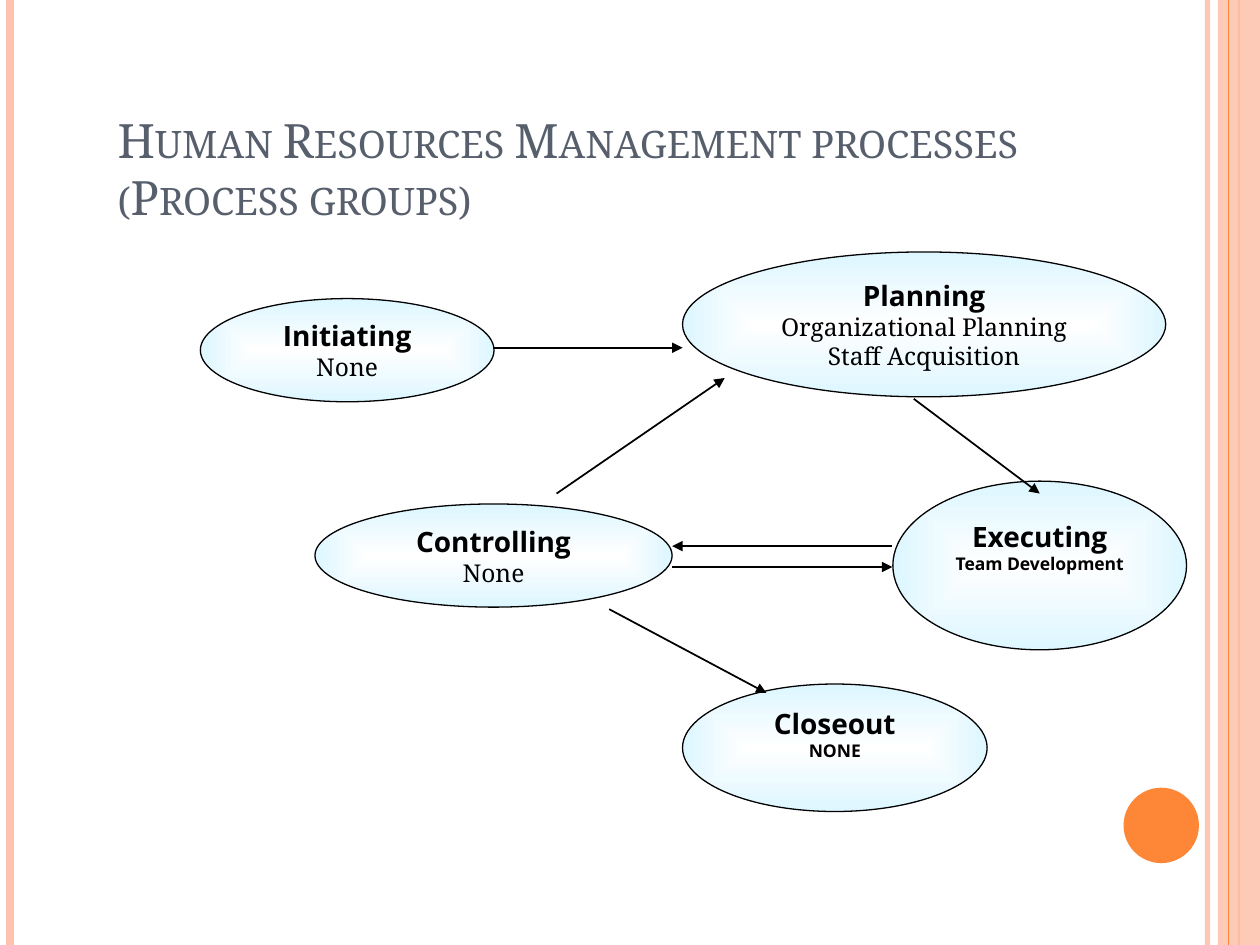
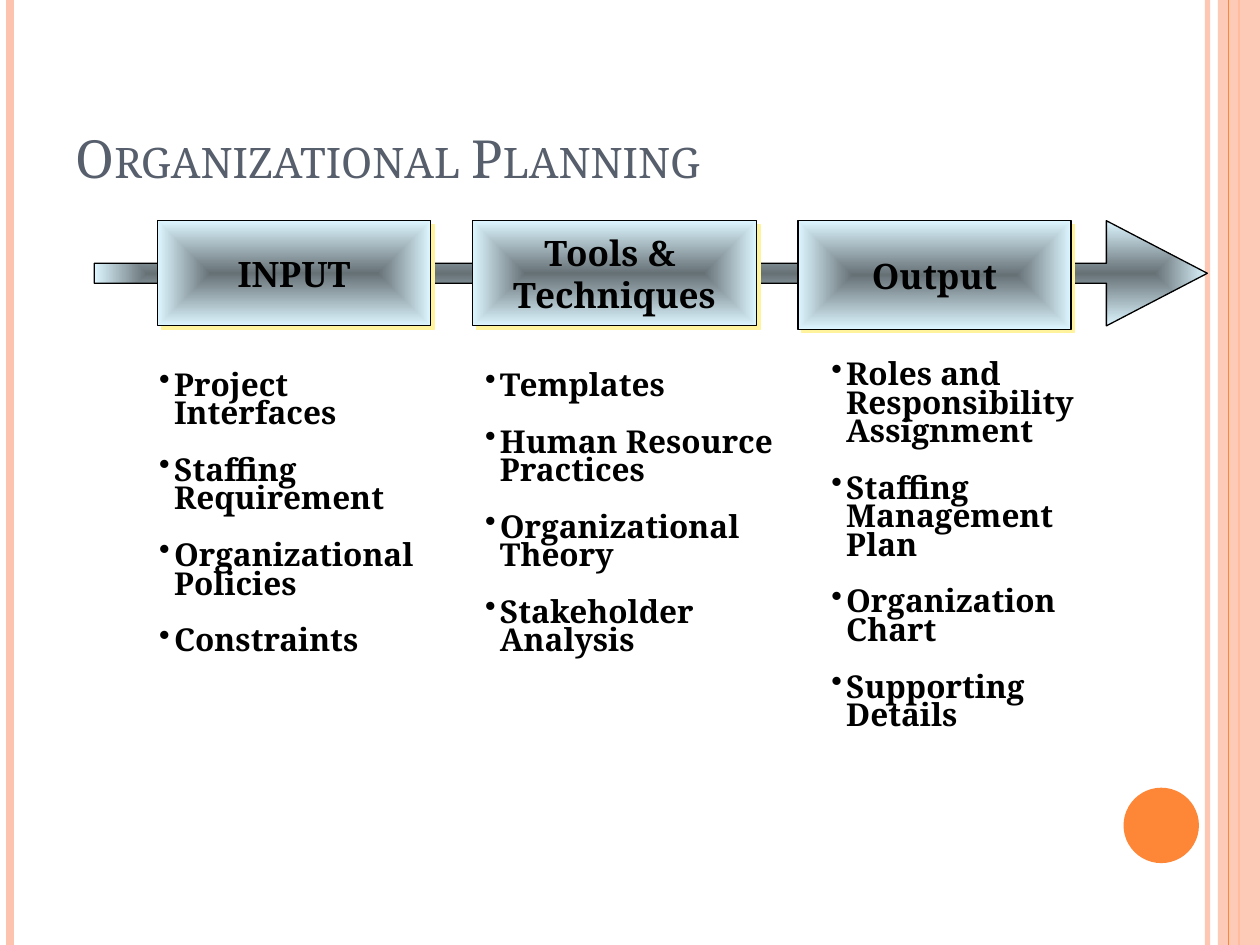
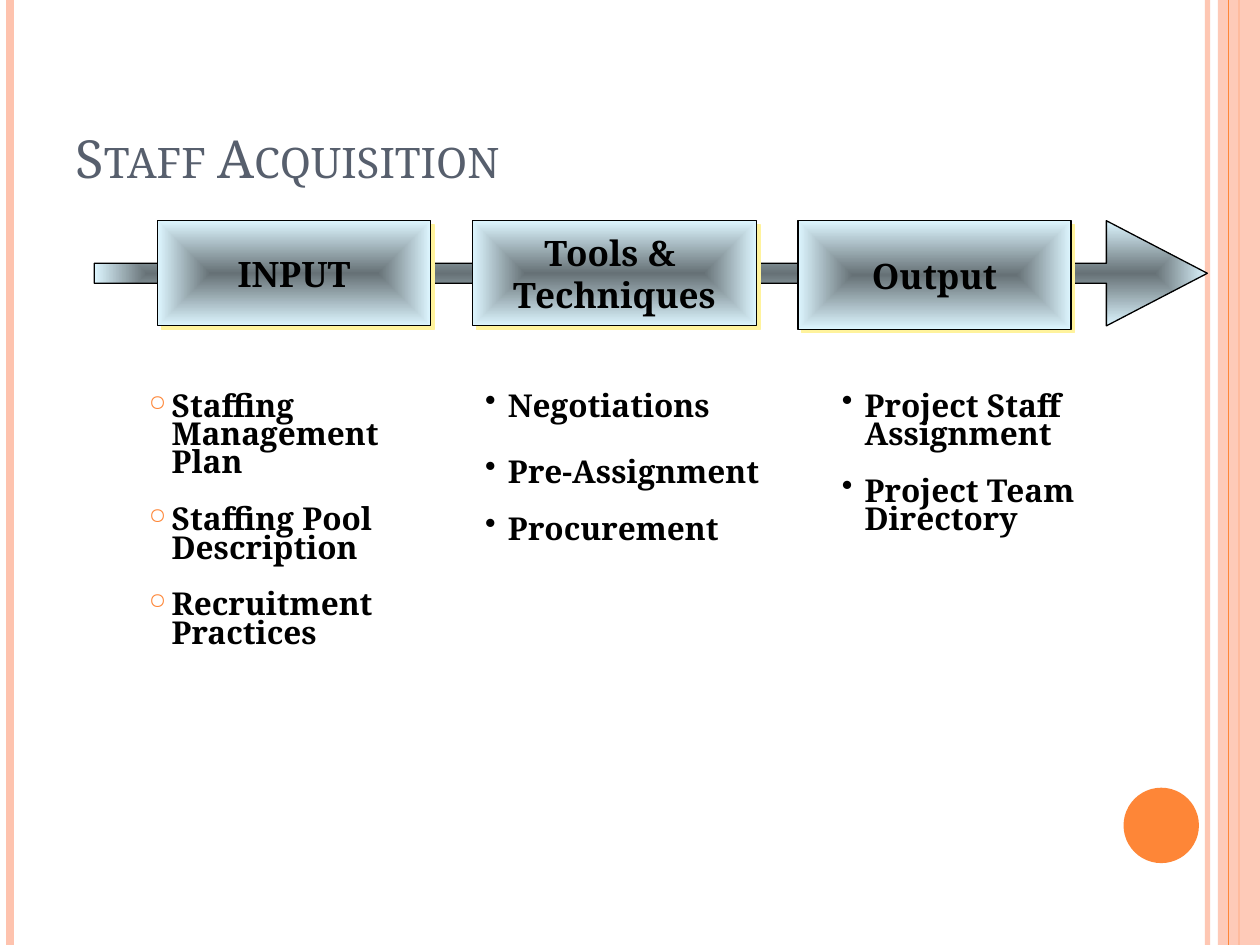
"""Three slides on human resources management processes."""
from dataclasses import dataclass
from typing import Any, NamedTuple

import pptx
import pptx.dml.color
import pptx.enum.shapes
import pptx.enum.text
import pptx.oxml
import pptx.oxml.ns
import pptx.util

Cm = pptx.util.Cm
Pt = pptx.util.Pt
RGBColor = pptx.dml.color.RGBColor
Shapes = pptx.enum.shapes.MSO_SHAPE
Anchor = pptx.enum.text.MSO_ANCHOR
Align = pptx.enum.text.PP_ALIGN
Namespaces = pptx.oxml.ns.nsdecls("a")


@dataclass(frozen=True)
class Theme:
    """Colours, fonts and type sizes of the presentation."""
    ink: str = "000000"
    title: str = "575F6D"
    accent: str = "FE8637"
    band: str = "FEC3AE"
    centre: str = "FFFFFF"
    edge: str = "DDF6FF"
    shadow: str = "FFF39D"
    serif: str = "Noto Serif"
    sans: str = "Open Sans"
    wide_title_size: float = 27
    title_size: float = 30
    stage_size: float = 20
    list_size: float = 18
    heading_size: float = 16
    detail_size: float = 14
    note_size: float = 10


THEME = Theme()
WIDTH, HEIGHT = 25.4, 19.05


class Box(NamedTuple):
    """Left, top, width and height in centimetres."""
    left: float
    top: float
    width: float
    height: float

    def lengths(self) -> list:
        """Return the four measures as lengths."""
        return [Cm(value) for value in self]


class Rule(NamedTuple):
    """A full-height vertical line of the slide frame."""
    x: float
    color: str
    weight: float
    opacity: int = 100


class Arrow(NamedTuple):
    """Start and end of an arrow in centimetres."""
    x1: float
    y1: float
    x2: float
    y2: float


class Process(NamedTuple):
    """An ellipse with a heading, its details and space below them."""
    box: Box
    heading: str
    details: tuple
    small: bool = False
    space_below: float = 0


class Stage(NamedTuple):
    """A box on the flow arrow."""
    box: Box
    lines: tuple


@dataclass(frozen=True)
class BulletList:
    """A bulleted column; first_gap is the space after the first item."""
    box: Box
    items: tuple
    indent: float
    gap: float = 16.2
    first_gap: float = 16.2
    ring: bool = False


LEFT_RULES = (
    Rule(24.34, THEME.band, 3, 93),
    Rule(0.21, THEME.band, 4.5),
    Rule(24.98, THEME.accent, 1.5),
)
INNER_RULE = Rule(24.77, THEME.accent, 0.75)
BAND = Box(24.55, 0, 0.85, HEIGHT)
DISC = Box(22.65, 15.88, 1.52, 1.52)
WIDE_TITLE = Box(2.12, 2.33, 21.59, 2.33)
TITLE = Box(1.27, 0.76, 20.75, 3.18)

PROCESSES = (
    Process(Box(4.04, 6.02, 5.92, 2.08), "Initiating", ("None",)),
    Process(Box(13.76, 5.08, 9.74, 2.92), "Planning",
            ("Organizational Planning", "Staff Acquisition")),
    Process(Box(18, 9.7, 5.92, 3.4), "Executing", ("Team Development",), True, 0.77),
    Process(Box(6.35, 10.16, 7.2, 2.08), "Controlling", ("None",)),
    Process(Box(13.76, 13.79, 6.14, 2.57), "Closeout", ("NONE",), True, 0.57),
)
ARROWS = (
    Arrow(9.95, 7.01, 13.76, 7.01),
    Arrow(18.42, 8.04, 20.96, 9.95),
    Arrow(17.99, 11.01, 13.55, 11.01),
    Arrow(13.55, 11.43, 17.99, 11.43),
    Arrow(11.22, 9.95, 14.61, 7.62),
    Arrow(12.28, 12.28, 15.45, 13.97),
)

FLOW = Box(1.9, 4.45, 22.44, 2.12)
STAGES = (
    Stage(Box(3.18, FLOW.top, 5.5, FLOW.height), ("INPUT",)),
    Stage(Box(9.53, FLOW.top, 5.72, FLOW.height), ("Tools & ", "Techniques")),
    Stage(Box(16.09, FLOW.top, 5.5, 2.19), ("Output",)),
)
PLANNING_LISTS = (
    BulletList(Box(2.96, 7.41, 5.92, 6), (
        "Project Interfaces", "Staffing Requirement",
        "Organizational Policies", "Constraints"), 0.3),
    BulletList(Box(9.53, 7.41, 6.35, 6), (
        "Templates", "Human Resource Practices",
        "Organizational Theory", "Stakeholder Analysis"), 0.3),
    BulletList(Box(16.51, 7.2, 6.14, 7.14), (
        "Roles and Responsibility Assignment", "Staffing Management Plan",
        "Organization Chart", "Supporting Details"), 0.3),
)
ACQUISITION_LISTS = (
    BulletList(Box(2.75, 7.83, 5.72, 5.5), (
        "Staffing Management Plan", "Staffing Pool Description",
        "Recruitment Practices"), 0.46, ring=True),
    BulletList(Box(9.53, 7.83, 6.77, 5.5), (
        "Negotiations", "Pre-Assignment", "Procurement"), 0.46, first_gap=21.6),
    BulletList(Box(16.72, 7.83, 5.5, 5.5), (
        "Project Staff Assignment", "Project Team Directory"), 0.46),
)


def set_values(target: Any, values: dict) -> None:
    """Set each named attribute of the target."""
    for name, value in values.items():
        setattr(target, name, value)


def make_element(xml: str) -> Any:
    """Turn a drawing fragment with a {ns} mark into an element."""
    return pptx.oxml.parse_xml(xml.replace("{ns}", Namespaces))


def set_opacity(shape: Any, percent: int) -> None:
    """Make the solid colours of a shape partly transparent."""
    for color in shape._element.spPr.iter(pptx.oxml.ns.qn("a:srgbClr")):
        color.append(make_element(f'<a:alpha {{ns}} val="{percent * 1000}"/>'))


def set_line(shape: Any, color: str, weight: float) -> None:
    """Give a shape or connector a plain line."""
    shape.line.color.rgb = RGBColor.from_string(color)
    shape.line.width = Pt(weight)


def set_gradient(shape: Any, centre: str, path: str, shade: str = "") -> None:
    """Fill a shape from its centre colour out to the edge colour."""
    gradient = make_element(
        f'<a:gradFill {{ns}} rotWithShape="1"><a:gsLst>'
        f'<a:gs pos="0"><a:srgbClr val="{centre}">{shade}</a:srgbClr></a:gs>'
        f'<a:gs pos="100000"><a:srgbClr val="{THEME.edge}"/></a:gs></a:gsLst>'
        f'<a:path path="{path}"><a:fillToRect l="50000" t="50000" r="50000" b="50000"/>'
        '</a:path></a:gradFill>')
    shape._element.spPr.find(pptx.oxml.ns.qn("a:prstGeom")).addnext(gradient)


def set_dark_gradient(shape: Any, path: str) -> None:
    """Fill a shape with the edge colour, shaded towards the centre."""
    set_gradient(shape, THEME.edge, path,
                 '<a:gamma/><a:shade val="46275"/><a:invGamma/>')


def add_shape(slide: Any, kind: Any, box: Box) -> Any:
    """Add a preset shape without shadow."""
    shape = slide.shapes.add_shape(kind, *box.lengths())
    shape.shadow.inherit = False
    return shape


def add_line(slide: Any, arrow: Arrow, color: str, weight: float) -> Any:
    """Add a straight connector without shadow."""
    ends = [Cm(value) for value in arrow]
    line = slide.shapes.add_connector(pptx.enum.shapes.MSO_CONNECTOR.STRAIGHT, *ends)
    set_line(line, color, weight)
    line._element.spPr.append(make_element("<a:effectLst {ns}/>"))
    return line


def add_run(paragraph: Any, text: str, size: float, font: str = THEME.serif,
            color: str = THEME.ink, bold: bool = False) -> Any:
    """Add one run of formatted text."""
    run = paragraph.add_run()
    run.text = text
    set_values(run.font, {"size": Pt(size), "name": font, "bold": bold})
    run.font.color.rgb = RGBColor.from_string(color)
    return run


def next_paragraph(frame: Any, index: int) -> Any:
    """Return the first paragraph, or a new one after it."""
    return frame.add_paragraph() if index else frame.paragraphs[0]


def add_rule(slide: Any, rule: Rule) -> None:
    """Draw one line of the slide frame."""
    line = add_line(slide, Arrow(rule.x, 0, rule.x, HEIGHT), rule.color, rule.weight)
    if rule.opacity < 100:
        set_opacity(line, rule.opacity)


def add_plain(slide: Any, kind: Any, box: Box, color: str) -> Any:
    """Draw a shape with a solid fill and no line."""
    shape = add_shape(slide, kind, box)
    shape.fill.solid()
    shape.fill.fore_color.rgb = RGBColor.from_string(color)
    shape.line.fill.background()
    return shape


def add_frame(slide: Any) -> None:
    """Draw the lines, band and disc that every slide shares."""
    for rule in LEFT_RULES:
        add_rule(slide, rule)
    set_opacity(add_plain(slide, Shapes.RECTANGLE, BAND, THEME.band), 87)
    add_rule(slide, INNER_RULE)
    add_plain(slide, Shapes.OVAL, DISC, THEME.accent)


def add_title(slide: Any, lines: tuple, box: Box, size: float) -> None:
    """Write the title in small capitals at the foot of its box."""
    frame = slide.shapes.add_textbox(*box.lengths()).text_frame
    set_values(frame, {"word_wrap": True, "vertical_anchor": Anchor.BOTTOM})
    paragraph = frame.paragraphs[0]
    for index, text in enumerate(lines):
        if index:
            paragraph.add_line_break()
        run = add_run(paragraph, text, size, color=THEME.title)
        run.font._element.set("cap", "small")


def add_process(slide: Any, process: Process) -> None:
    """Draw a process ellipse with its text."""
    shape = add_shape(slide, Shapes.OVAL, process.box)
    set_gradient(shape, THEME.centre, "shape")
    set_line(shape, THEME.ink, 0.75)
    frame = shape.text_frame
    set_values(frame, {"word_wrap": True, "vertical_anchor": Anchor.MIDDLE,
                       "margin_top": 0, "margin_bottom": Cm(process.space_below)})
    heading = {"size": THEME.heading_size, "font": THEME.sans, "bold": True}
    detail = {"size": THEME.detail_size}
    if process.small:
        detail = heading | {"size": THEME.note_size}
    for index, text in enumerate((process.heading, *process.details)):
        paragraph = next_paragraph(frame, index)
        paragraph.alignment = Align.CENTER
        add_run(paragraph, text, **(detail if index else heading))


def add_arrow(slide: Any, arrow: Arrow) -> None:
    """Draw a connector with an arrowhead at its end."""
    line = add_line(slide, arrow, THEME.ink, 1)
    line.line._get_or_add_ln().append(make_element('<a:tailEnd {ns} type="triangle"/>'))


def add_stage(slide: Any, stage: Stage) -> None:
    """Draw a stage box with a hard offset shadow."""
    shape = add_shape(slide, Shapes.RECTANGLE, stage.box)
    set_dark_gradient(shape, "shape")
    set_line(shape, THEME.ink, 0.75)
    effects = shape._element.spPr.find(pptx.oxml.ns.qn("a:effectLst"))
    effects.append(make_element(
        f'<a:outerShdw {{ns}} dist="{Pt(2.8)}" dir="2700000" algn="ctr" '
        f'rotWithShape="0"><a:srgbClr val="{THEME.shadow}"/></a:outerShdw>'))
    frame = shape.text_frame
    set_values(frame, {"word_wrap": False, "vertical_anchor": Anchor.MIDDLE})
    for index, text in enumerate(stage.lines):
        paragraph = next_paragraph(frame, index)
        paragraph.alignment = Align.CENTER
        add_run(paragraph, text, THEME.stage_size, bold=True)


def add_flow(slide: Any) -> None:
    """Draw the long arrow and the three stages on it."""
    arrow = add_shape(slide, Shapes.RIGHT_ARROW, FLOW)
    arrow.adjustments[0] = 0.19
    arrow.adjustments[1] = 0.96
    set_dark_gradient(arrow, "rect")
    set_line(arrow, THEME.ink, 0.75)
    for stage in STAGES:
        add_stage(slide, stage)


def add_bullet(paragraph: Any, indent: float, ring: bool) -> None:
    """Give a paragraph a hanging bullet, a dot or a coloured ring."""
    properties = paragraph._element.get_or_add_pPr()
    properties.set("marL", str(Cm(indent)))
    properties.set("indent", str(-Cm(indent)))
    if ring:
        properties.append(make_element(
            f'<a:buClr {{ns}}><a:srgbClr val="{THEME.accent}"/></a:buClr>'))
        properties.append(make_element('<a:buSzPct {ns} val="70000"/>'))
    character = "\u25cb" if ring else "\u2022"
    properties.append(make_element(f'<a:buChar {{ns}} char="{character}"/>'))


def add_list(slide: Any, column: BulletList) -> None:
    """Write a column of bold bulleted items."""
    frame = slide.shapes.add_textbox(*column.box.lengths()).text_frame
    frame.word_wrap = True
    gaps = {0: 0, 1: column.first_gap}
    for index, text in enumerate(column.items):
        paragraph = next_paragraph(frame, index)
        set_values(paragraph, {"line_spacing": 0.75,
                               "space_before": Pt(gaps.get(index, column.gap))})
        add_bullet(paragraph, column.indent, column.ring)
        add_run(paragraph, text, THEME.list_size, bold=True)


def add_slide(presentation: Any) -> Any:
    """Add a blank slide with the shared frame."""
    slide = presentation.slides.add_slide(presentation.slide_layouts[6])
    add_frame(slide)
    return slide


def add_process_slide(presentation: Any) -> None:
    """Build the diagram of process groups."""
    slide = add_slide(presentation)
    add_title(slide, ("Human Resources Management processes", "(Process groups)"),
              WIDE_TITLE, THEME.wide_title_size)
    for process in PROCESSES:
        add_process(slide, process)
    for arrow in ARROWS:
        add_arrow(slide, arrow)


def add_flow_slide(presentation: Any, title: str, columns: tuple) -> None:
    """Build a slide with the three stages and a list below each."""
    slide = add_slide(presentation)
    add_title(slide, (title,), TITLE, THEME.title_size)
    add_flow(slide)
    for column in columns:
        add_list(slide, column)


def main() -> None:
    """Build and save the presentation."""
    presentation = pptx.Presentation()
    set_values(presentation, {"slide_width": Cm(WIDTH), "slide_height": Cm(HEIGHT)})
    add_process_slide(presentation)
    add_flow_slide(presentation, "Organizational Planning", PLANNING_LISTS)
    add_flow_slide(presentation, "Staff Acquisition", ACQUISITION_LISTS)
    presentation.save("out.pptx")


main()
